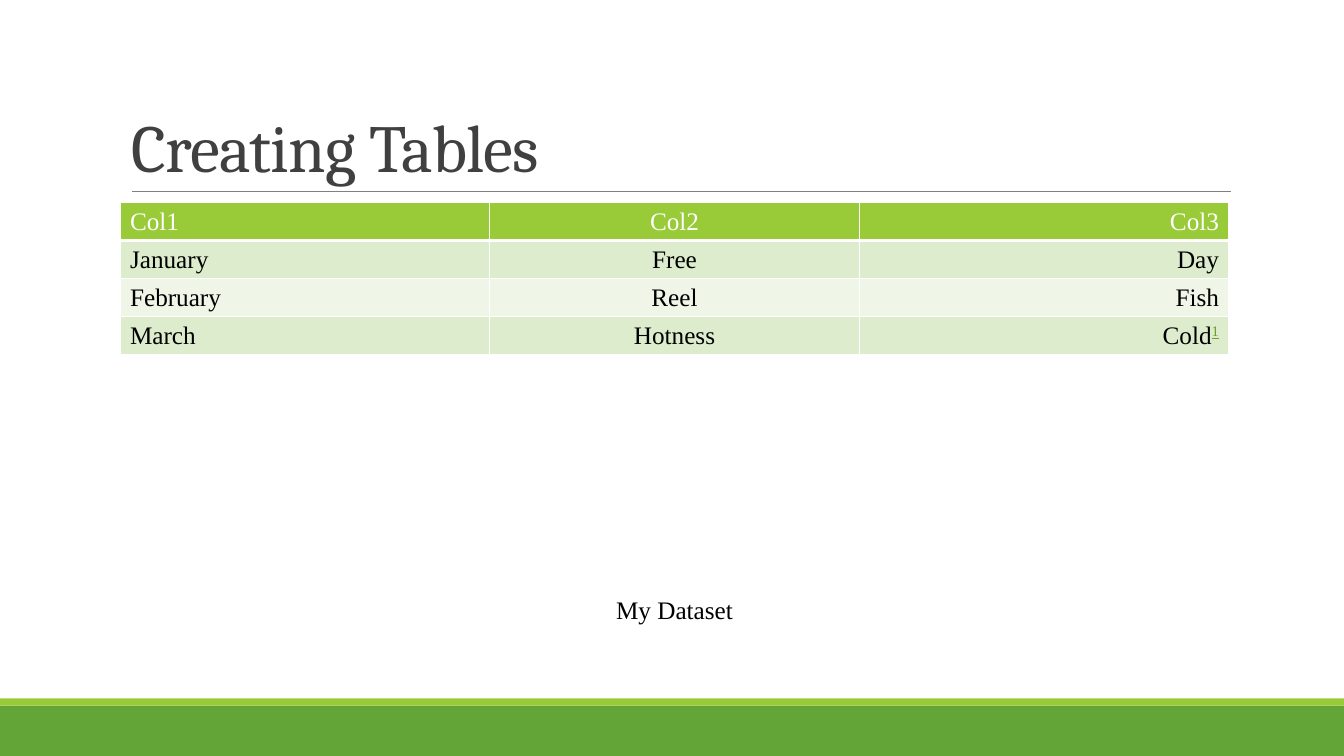
from typing import NamedTuple

from lxml.etree import SubElement
from pptx import Presentation
from pptx.dml.color import RGBColor
from pptx.enum.shapes import MSO_CONNECTOR, MSO_SHAPE
from pptx.enum.text import MSO_ANCHOR, PP_ALIGN
from pptx.oxml.ns import qn
from pptx.util import Inches, Pt

WHITE = RGBColor(0xFF, 0xFF, 0xFF)
BLACK = RGBColor(0x00, 0x00, 0x00)
TITLE_GRAY = RGBColor(0x40, 0x40, 0x40)
RULE_GRAY = RGBColor(0x80, 0x80, 0x80)
DARK_GREEN = RGBColor(0x63, 0xA5, 0x37)
LIME = RGBColor(0x99, 0xCB, 0x38)
BAND_DARK = RGBColor(0xDE, 0xEC, 0xCE)
BAND_LIGHT = RGBColor(0xEF, 0xF6, 0xE8)
LINK_GREEN = RGBColor(0x6B, 0x9F, 0x25)

BODY_FONT = "Times New Roman"
SLIDE_WIDTH = Inches(13.33)
CONTENT_LEFT = Inches(1.19)
CONTENT_WIDTH = Inches(11)
ROW_HEIGHT = Inches(0.37)


class Bar(NamedTuple):
    """A full-width bar at the foot of the slide."""
    top: float
    height: float
    color: RGBColor


class Column(NamedTuple):
    """A table column: its texts, header first, and their alignment."""
    texts: tuple[str, ...]
    alignment: PP_ALIGN


BARS = (Bar(7, 0.5, DARK_GREEN), Bar(6.93, 0.07, LIME))
COLUMNS = (
    Column(("Col1", "January", "February", "March"), PP_ALIGN.LEFT),
    Column(("Col2", "Free", "Reel", "Hotness"), PP_ALIGN.CENTER),
    Column(("Col3", "Day", "Fish", "Cold"), PP_ALIGN.RIGHT),
)


def format_run(run, color: RGBColor, size: float = 18, name: str = BODY_FONT) -> None:
    """Set the font, size and colour of a run."""
    run.font.name = name
    run.font.size = Pt(size)
    run.font.bold = False
    run.font.color.rgb = color


def add_bar(slide, bar: Bar) -> None:
    """Draw one footer bar."""
    shape = slide.shapes.add_shape(
        MSO_SHAPE.RECTANGLE, 0, Inches(bar.top), SLIDE_WIDTH, Inches(bar.height))
    shape.shadow.inherit = False
    shape.fill.solid()
    shape.fill.fore_color.rgb = bar.color
    shape.line.fill.background()


def add_title_rule(slide) -> None:
    """Draw the thin line below the title."""
    rule = slide.shapes.add_connector(
        MSO_CONNECTOR.STRAIGHT, Inches(1.31), Inches(1.9), Inches(12.21), Inches(1.9))
    rule.line.color.rgb = RULE_GRAY
    rule.line.width = Pt(0.5)
    SubElement(rule._element.spPr, qn("a:effectLst"))


def format_title(slide, text: str) -> None:
    """Place, fill and format the title placeholder."""
    title = slide.shapes.title
    title.left, title.top = Inches(1.2), Inches(0.31)
    title.width, title.height = CONTENT_WIDTH, Inches(1.59)
    title.text_frame.text = text
    title.text_frame.vertical_anchor = MSO_ANCHOR.BOTTOM
    paragraph = title.text_frame.paragraphs[0]
    paragraph.alignment = PP_ALIGN.LEFT
    paragraph.line_spacing = 0.85
    run = paragraph.runs[0]
    format_run(run, TITLE_GRAY, 48, "Cambria")
    run._r.get_or_add_rPr().set("spc", "-50")


def set_borders(cell, bottom_width: float) -> None:
    """Give a cell white borders, 1 pt except at the bottom."""
    properties = cell._tc.get_or_add_tcPr()
    widths = {"a:lnL": 1, "a:lnR": 1, "a:lnT": 1, "a:lnB": bottom_width}
    for index, (tag, width) in enumerate(widths.items()):
        line = properties.makeelement(qn(tag), {"w": str(Pt(width))})
        fill = SubElement(line, qn("a:solidFill"))
        SubElement(fill, qn("a:srgbClr"), val=str(WHITE))
        properties.insert(index, line)


def add_data_table(slide):
    """Draw the table and return it."""
    row_count = len(COLUMNS[0].texts)
    table = slide.shapes.add_table(
        row_count, len(COLUMNS), CONTENT_LEFT, Inches(2.01),
        CONTENT_WIDTH, ROW_HEIGHT * row_count).table
    for column_index, column in enumerate(COLUMNS):
        for row_index, text in enumerate(column.texts):
            is_header = row_index == 0
            band = BAND_DARK if row_index % 2 else BAND_LIGHT
            cell = table.cell(row_index, column_index)
            cell.fill.solid()
            cell.fill.fore_color.rgb = LIME if is_header else band
            set_borders(cell, 3 if is_header else 1)
            cell.text_frame.text = text
            paragraph = cell.text_frame.paragraphs[0]
            paragraph.alignment = column.alignment
            format_run(paragraph.runs[0], WHITE if is_header else BLACK)
    return table


def add_footnote_mark(cell, mark: str) -> None:
    """Append an underlined superscript mark to a cell."""
    run = cell.text_frame.paragraphs[0].add_run()
    run.text = mark
    format_run(run, LINK_GREEN)
    run.font.underline = True
    run._r.get_or_add_rPr().set("baseline", "30000")


def add_caption(slide, text: str) -> None:
    """Write the centred table caption."""
    box = slide.shapes.add_textbox(
        CONTENT_LEFT, Inches(5.85), CONTENT_WIDTH, Inches(0.56))
    box.text_frame.word_wrap = True
    box.text_frame.text = text
    paragraph = box.text_frame.paragraphs[0]
    paragraph.alignment = PP_ALIGN.CENTER
    format_run(paragraph.runs[0], BLACK)


presentation = Presentation()
presentation.slide_width = SLIDE_WIDTH
presentation.slide_height = Inches(7.5)
slide = presentation.slides.add_slide(presentation.slide_layouts.get_by_name("Title Only"))

for bar in BARS:
    add_bar(slide, bar)
add_title_rule(slide)
format_title(slide, "Creating Tables")
data_table = add_data_table(slide)
add_footnote_mark(data_table.cell(3, 2), "1")
add_caption(slide, "My Dataset")

presentation.save("out.pptx")
